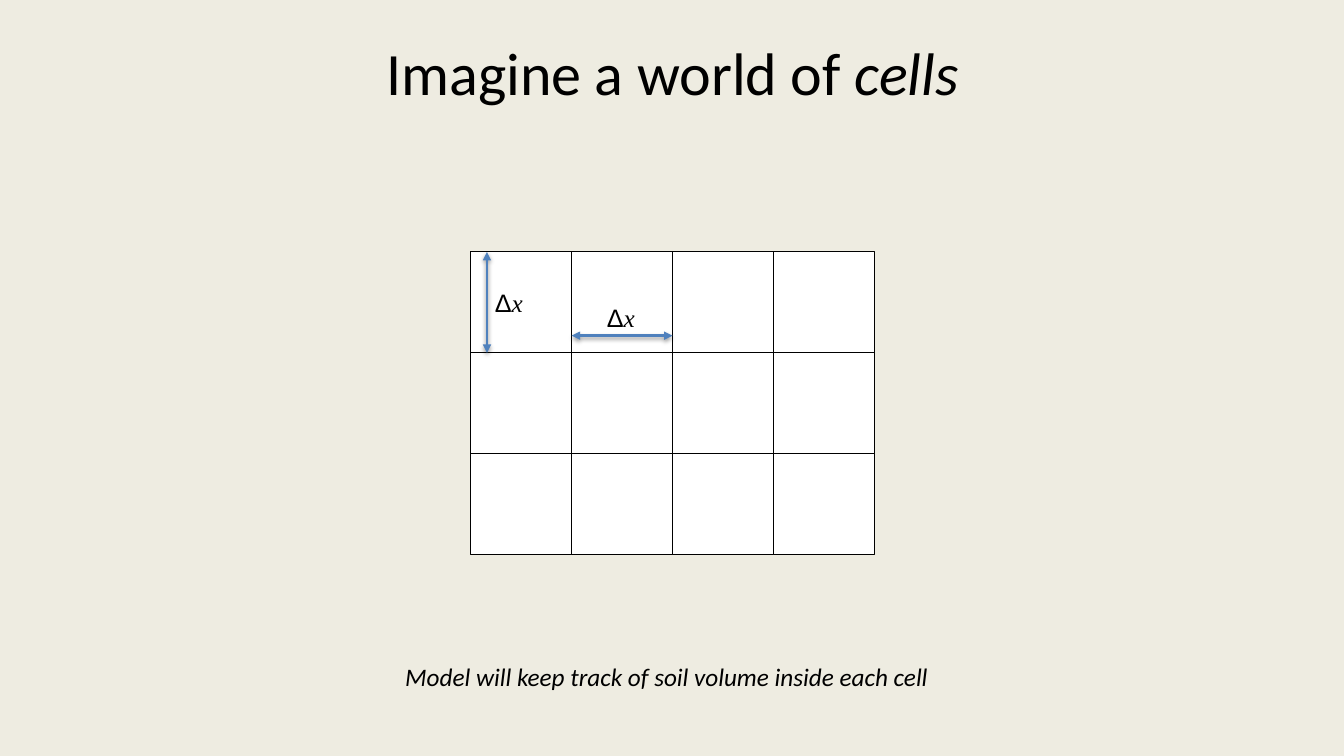
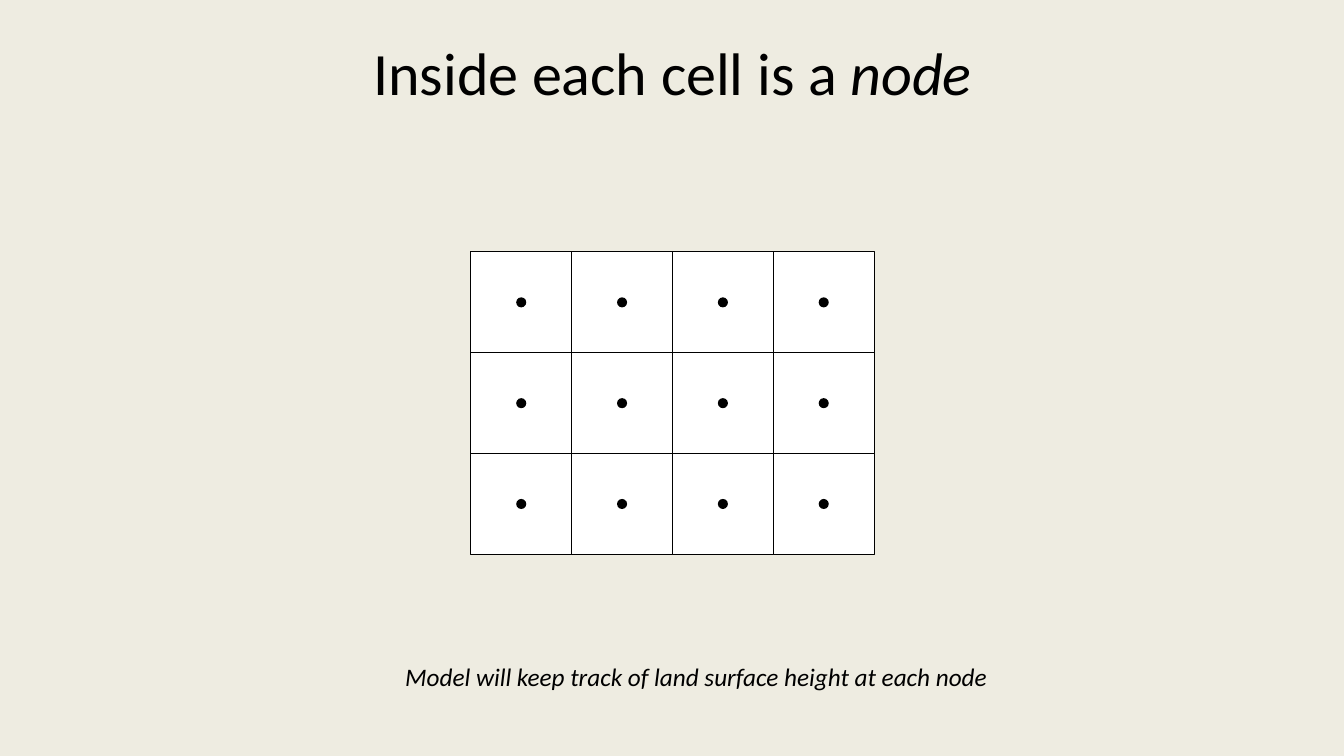
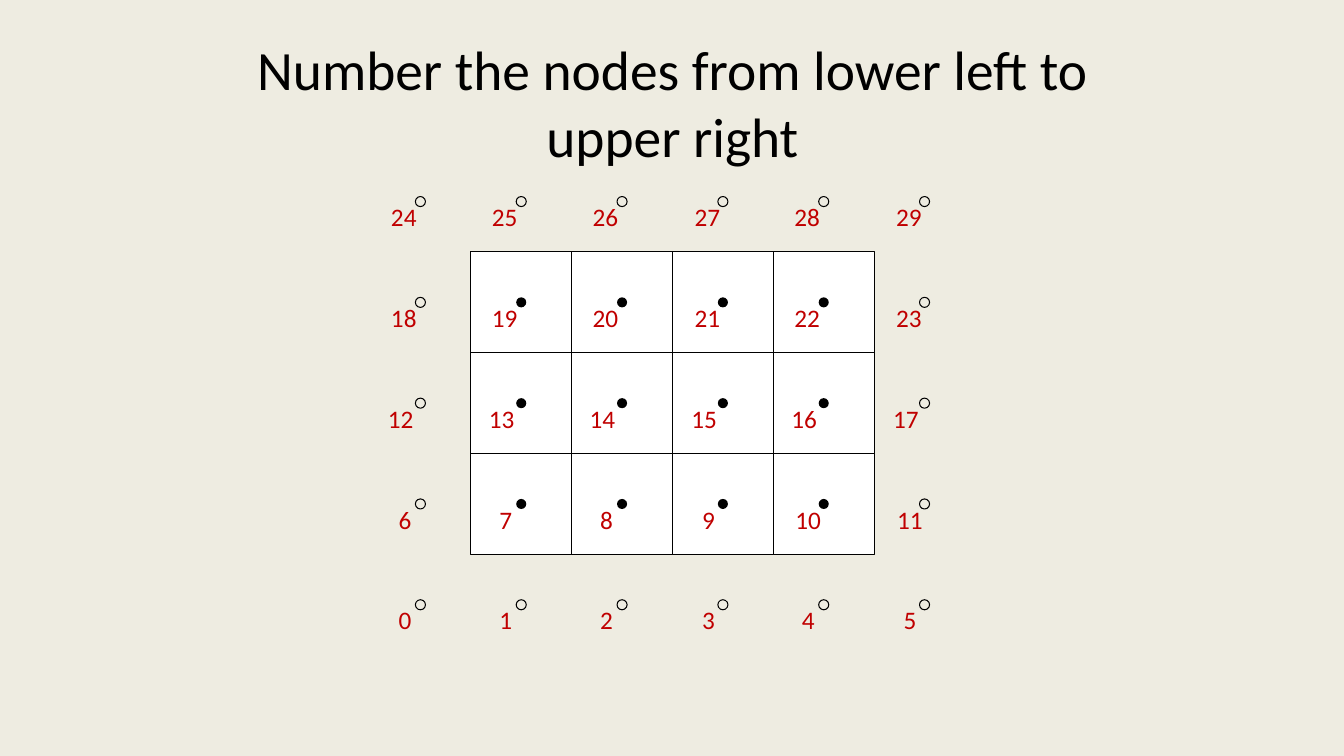
from dataclasses import dataclass
from itertools import product

from lxml import etree
from pptx import Presentation
from pptx.dml.color import RGBColor
from pptx.enum.shapes import MSO_CONNECTOR, MSO_SHAPE
from pptx.enum.text import MSO_ANCHOR, MSO_AUTO_SIZE, PP_ALIGN
from pptx.oxml.ns import qn
from pptx.presentation import Presentation as Deck
from pptx.shapes.autoshape import Shape
from pptx.slide import Slide
from pptx.util import Inches, Pt

RECTANGLE = MSO_SHAPE.RECTANGLE
ELLIPSE = MSO_SHAPE.OVAL
STRAIGHT = MSO_CONNECTOR.STRAIGHT
CENTER = PP_ALIGN.CENTER
TOP = MSO_ANCHOR.TOP
FIT_TEXT = MSO_AUTO_SIZE.SHAPE_TO_FIT_TEXT

COLORS = {
    "paper": "EEECE1",
    "cell": "FFFFFF",
    "ink": "000000",
    "arrow": "4F81BD",
    "number": "C00000",
}
BODY_FONT = "Calibri"
BODY_SIZE = 18
SLIDE_WIDTH, SLIDE_HEIGHT = 13.33, 7.5
GRID_LEFT, GRID_TOP, CELL = 4.67, 2.5, 1.0
COLUMNS, ROWS = 4, 3
NODE_SIZE = 0.1
LABEL_HEIGHT = 0.4
LABEL_WIDTHS = {1: 0.33, 2: 0.46}
ROW_LABEL_CENTERS = (-0.65, -0.65, -0.69, -0.66, -0.66)


@dataclass(frozen=True)
class Span:
    text: str
    font: str = BODY_FONT
    italic: bool = False


@dataclass(frozen=True)
class Style:
    size: float = BODY_SIZE
    color: str = "ink"


@dataclass(frozen=True)
class Frame:
    left: float
    top: float
    width: float
    height: float

    def lengths(self) -> list[int]:
        return [Inches(value) for value in (self.left, self.top, self.width, self.height)]


@dataclass(frozen=True)
class Dimension:
    start: tuple[float, float]
    end: tuple[float, float]
    label: tuple[float, float]


TITLE_FRAME = Frame(2.17, 0.3, 9, 1.25)
DELTA_X = (Span("Δ", "Arial"), Span("x", "Times New Roman", True))
DIMENSIONS = (
    Dimension((0.16, 0), (0.16, 1), (0.14, 0.3)),
    Dimension((1, 0.83), (2, 0.83), (1.25, 0.45)),
)


def color(name: str) -> RGBColor:
    return RGBColor.from_string(COLORS[name])


def grid_point(column: float, row: float) -> tuple[float, float]:
    return GRID_LEFT + column * CELL, GRID_TOP + row * CELL


def add_text(slide: Slide, frame: Frame, spans: tuple[Span, ...], style: Style = Style()) -> Shape:
    box = slide.shapes.add_textbox(*frame.lengths())
    box.text_frame.word_wrap = False
    box.text_frame.auto_size = FIT_TEXT
    para = box.text_frame.paragraphs[0]
    for span in spans:
        run = para.add_run()
        run.text = span.text
        run.font.name = span.font
        run.font.size = Pt(style.size)
        run.font.color.rgb = color(style.color)
        if span.italic:
            run.font.italic = True
    return box


def add_title(slide: Slide, spans: tuple[Span, ...], size: float = 42.9) -> None:
    box = add_text(slide, TITLE_FRAME, spans, Style(size))
    box.text_frame.auto_size = None
    box.text_frame.word_wrap = True
    box.text_frame.vertical_anchor = TOP
    box.text_frame.paragraphs[0].alignment = CENTER


def add_caption(slide: Slide, text: str, width: float) -> None:
    add_text(slide, Frame(3.92, 6.51, width, LABEL_HEIGHT), (Span(text, italic=True),))


def add_figure(slide: Slide, kind: int, frame: Frame, fill: str = "", line: str = "") -> None:
    shape = slide.shapes.add_shape(kind, *frame.lengths())
    shape.shadow.inherit = False
    if fill:
        shape.fill.solid()
        shape.fill.fore_color.rgb = color(fill)
    else:
        shape.fill.background()
    if line:
        shape.line.color.rgb = color(line)
        shape.line.width = Pt(0.75)
    else:
        shape.line.fill.background()


def add_cells(slide: Slide) -> None:
    for row, column in product(range(ROWS), range(COLUMNS)):
        frame = Frame(*grid_point(column, row), CELL, CELL)
        add_figure(slide, RECTANGLE, frame, "cell", "ink")


def add_node(slide: Slide, column: int, row: int) -> None:
    x, y = grid_point(column + 0.5, row + 0.5)
    frame = Frame(x - NODE_SIZE / 2, y - NODE_SIZE / 2, NODE_SIZE, NODE_SIZE)
    if 0 <= column < COLUMNS and 0 <= row < ROWS:
        add_figure(slide, ELLIPSE, frame, fill="ink")
    else:
        add_figure(slide, ELLIPSE, frame, line="ink")


def add_number(slide: Slide, number: int) -> None:
    rank, column = divmod(number, COLUMNS + 2)
    width = LABEL_WIDTHS[len(str(number))]
    nudge = 0.01 if column in (3, 5) else 0
    x, y = grid_point(column + ROW_LABEL_CENTERS[rank] + nudge, ROWS + 0.45 - rank)
    frame = Frame(x - width / 2, y, width, LABEL_HEIGHT)
    add_text(slide, frame, (Span(str(number)),), Style(color="number"))


def add_dimension(slide: Slide, dimension: Dimension) -> None:
    ends = grid_point(*dimension.start) + grid_point(*dimension.end)
    arrow = slide.shapes.add_connector(STRAIGHT, *[Inches(value) for value in ends])
    arrow.line.color.rgb = color("arrow")
    arrow.line.width = Pt(2)
    outline = arrow.line._get_or_add_ln()
    for tip in ("a:headEnd", "a:tailEnd"):
        etree.SubElement(outline, qn(tip), type="triangle")
    effects = etree.SubElement(arrow._element.spPr, qn("a:effectLst"))
    shadow = etree.SubElement(
        effects, qn("a:outerShdw"), blurRad=str(Pt(3.1)), dist=str(Pt(1.6)),
        dir="5400000", rotWithShape="0",
    )
    tint = etree.SubElement(shadow, qn("a:srgbClr"), val=COLORS["ink"])
    etree.SubElement(tint, qn("a:alpha"), val="38000")
    add_text(slide, Frame(*grid_point(*dimension.label), 0.48, LABEL_HEIGHT), DELTA_X)


def add_grid_slide(deck: Deck, spans: tuple[Span, ...], size: float = 42.9) -> Slide:
    slide = deck.slides.add_slide(deck.slide_layouts[6])
    add_title(slide, spans, size)
    add_cells(slide)
    return slide


def build_cells_slide(deck: Deck) -> None:
    slide = add_grid_slide(deck, (Span("Imagine a world of "), Span("cells", italic=True)))
    for dimension in DIMENSIONS:
        add_dimension(slide, dimension)
    add_caption(slide, "Model will keep track of soil volume inside each cell", 5.51)


def build_nodes_slide(deck: Deck) -> None:
    slide = add_grid_slide(deck, (Span("Inside each cell is a "), Span("node", italic=True)))
    for row, column in product(range(ROWS), range(COLUMNS)):
        add_node(slide, column, row)
    add_caption(slide, "Model will keep track of land surface height at each node", 6.04)


def build_numbers_slide(deck: Deck) -> None:
    title = (Span("Number the nodes from lower left to upper right"),)
    slide = add_grid_slide(deck, title, 39.6)
    for row, column in product(range(-1, ROWS + 1), range(-1, COLUMNS + 1)):
        add_node(slide, column, row)
    for number in range((COLUMNS + 2) * (ROWS + 2)):
        add_number(slide, number)


def main() -> None:
    deck = Presentation()
    deck.slide_width = Inches(SLIDE_WIDTH)
    deck.slide_height = Inches(SLIDE_HEIGHT)
    backdrop = deck.slide_master.background.fill
    backdrop.solid()
    backdrop.fore_color.rgb = color("paper")
    build_cells_slide(deck)
    build_nodes_slide(deck)
    build_numbers_slide(deck)
    deck.save("out.pptx")


if __name__ == "__main__":
    main()
